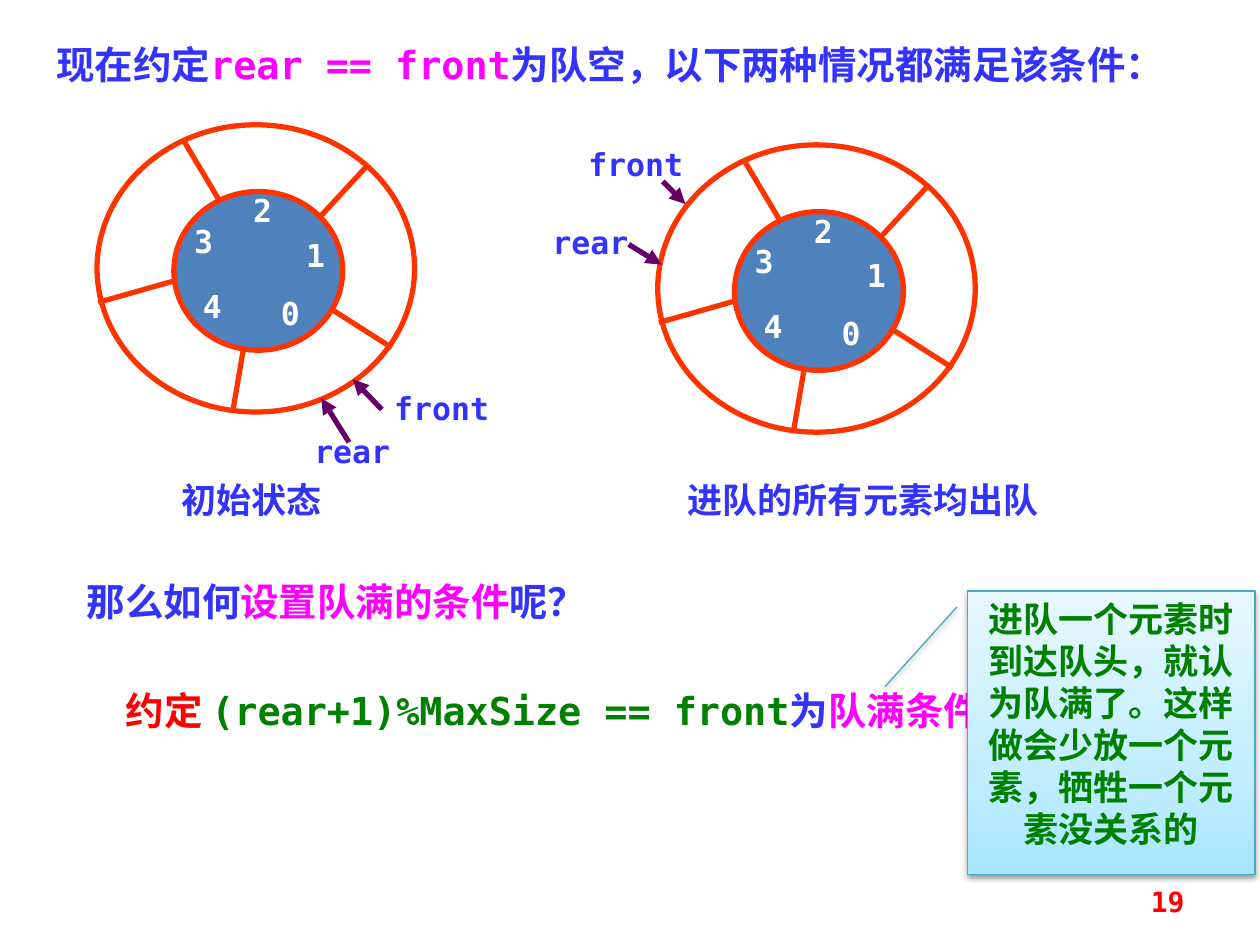
from lxml.etree import SubElement
from pptx import Presentation
from pptx.dml.color import RGBColor
from pptx.enum.shapes import MSO_CONNECTOR, MSO_SHAPE
from pptx.enum.text import MSO_ANCHOR, PP_ALIGN
from pptx.oxml import parse_xml
from pptx.oxml.ns import nsdecls, qn
from pptx.util import Pt

PX = 9144  # 100 px to the inch
MONO = "DejaVu Sans Mono"
BLUE, MAGENTA, GREEN, RED = "3333FF", "FF00FF", "008000", "FF0000"
ORANGE, PURPLE, WHITE, DISC = "FF3300", "660066", "FFFFFF", "4F81BD"

# box, alignment, size, runs of (text, colour)
TEXTS = [
    ((35, 28, 874, 47), PP_ALIGN.LEFT, 22,
     [("现在约定", BLUE), ("rear == front", MAGENTA),
      ("为队空，以下两种情况都满足该条件：", BLUE)]),
    ((90, 375, 220, 44), PP_ALIGN.CENTER, 20, [("初始状态", BLUE)]),
    ((484, 375, 402, 44), PP_ALIGN.CENTER, 20, [("进队的所有元素均出队", BLUE)]),
    ((59, 454, 472, 47), PP_ALIGN.LEFT, 22,
     [("那么如何", BLUE), ("设置队满的条件", MAGENTA), ("呢？", BLUE)]),
    ((90, 540, 700, 47), PP_ALIGN.LEFT, 22,
     [("约定 ", RED), ("(rear+1)%MaxSize == front", GREEN), ("为", BLUE),
      ("队满条件", MAGENTA), ("。", BLUE)]),
    ((717, 697, 233, 40), PP_ALIGN.RIGHT, 16, [("19", RED)]),
]

# Ring parts, relative to the top left corner of the outer ellipse
OUTER = (0, 0, 252, 228)
INNER = (61, 53, 134, 126)
SPOKES = [(187, 147, 234, 177), (178, 72, 214, 33), (69, 13, 97, 60),
          (116, 179, 108, 226), (1, 141, 61, 124)]
SLOT_NUMBERS = {"0": (138, 134), "1": (158, 88), "2": (116, 53),
                "3": (69, 77), "4": (76, 129)}

# Each queue: ring corner, pointer labels, pointer arrows
QUEUES = [
    ((77, 99), {"front": (311, 309), "rear": (240, 343)},
     [(303, 325, 280, 301), (277, 351, 255, 316)]),
    ((522, 115), {"front": (465, 115), "rear": (429, 177)},
     [(526, 144, 544, 162), (499, 194, 525, 210)]),
]

CALLOUT_BOX = (768, 469, 228, 225)
CALLOUT_TEXT = "进队一个元素时到达队头，就认为队满了。这样做会少放一个元素，牺牲一个元素没关系的"
CALLOUT_ADJUSTMENTS = (0.056, -0.037, 0.338, -0.288)
CALLOUT_STOPS = [(0, "A7E6FF"), (35, "C1EDFF"), (100, "E7F8FF")]


def colour(value):
    return RGBColor.from_string(value)


def emu(lengths):
    return [length * PX for length in lengths]


def moved(corner, box):
    return (box[0] + corner[0], box[1] + corner[1], *box[2:])


def write(frame, runs, size, alignment, font=MONO):
    frame.word_wrap = True
    paragraph = frame.paragraphs[0]
    paragraph.alignment = alignment
    for text, text_colour in runs:
        run = paragraph.add_run()
        run.text = text
        formats = {"name": font, "size": Pt(size), "bold": True}
        for name, value in formats.items():
            setattr(run.font, name, value)
        run.font.color.rgb = colour(text_colour)


def add_text(slide, box, runs, size, alignment):
    frame = slide.shapes.add_textbox(*emu(box)).text_frame
    write(frame, runs, size, alignment)
    return frame


def add_label(slide, text, box, text_colour):
    """Centred small text without margins."""
    frame = add_text(slide, box, [(text, text_colour)], 18, PP_ALIGN.CENTER)
    for side in ("left", "top", "right", "bottom"):
        setattr(frame, f"margin_{side}", 0)


def add_line(slide, ends, line_colour, arrow=False):
    line = slide.shapes.add_connector(MSO_CONNECTOR.STRAIGHT, *emu(ends))
    line.line.color.rgb = colour(line_colour)
    line.line.width = Pt(3)
    properties = line._element.spPr
    if arrow:
        SubElement(properties.find(qn("a:ln")), qn("a:tailEnd"), type="triangle")
    SubElement(properties, qn("a:effectLst"))


def add_ellipse(slide, box, fill=None):
    ellipse = slide.shapes.add_shape(MSO_SHAPE.OVAL, *emu(box))
    ellipse.shadow.inherit = False
    if fill:
        ellipse.fill.solid()
        ellipse.fill.fore_color.rgb = colour(fill)
    else:
        ellipse.fill.background()
    ellipse.line.color.rgb = colour(ORANGE)
    ellipse.line.width = Pt(3)


def add_queue(slide, corner, pointers, arrows):
    add_ellipse(slide, moved(corner, INNER), DISC)
    add_ellipse(slide, moved(corner, OUTER))
    for x1, y1, x2, y2 in SPOKES:
        add_line(slide, moved(corner, (x1, y1)) + moved(corner, (x2, y2)), ORANGE)
    for number, place in SLOT_NUMBERS.items():
        add_label(slide, number, moved(corner, (*place, 31, 30)), WHITE)
    for name, place in pointers.items():
        add_label(slide, name, (*place, 79, 30), BLUE)
    for ends in arrows:
        add_line(slide, ends, PURPLE, arrow=True)


def add_callout(slide):
    callout = slide.shapes.add_shape(MSO_SHAPE.LINE_CALLOUT_1, *emu(CALLOUT_BOX))
    for index, value in enumerate(CALLOUT_ADJUSTMENTS):
        callout.adjustments[index] = value
    callout.line.color.rgb = colour("46AAC5")
    callout.line.width = Pt(0.75)
    callout.shadow.inherit = False
    properties = callout._element.spPr
    stops = "".join(f'<a:gs pos="{position * 1000}"><a:srgbClr val="{value}"/></a:gs>'
                    for position, value in CALLOUT_STOPS)
    properties.find(qn("a:prstGeom")).addnext(parse_xml(
        f'<a:gradFill {nsdecls("a")} rotWithShape="1"><a:gsLst>{stops}</a:gsLst>'
        '<a:lin ang="16200000" scaled="1"/></a:gradFill>'))
    properties.find(qn("a:effectLst")).append(parse_xml(
        f'<a:outerShdw {nsdecls("a")} blurRad="{Pt(3.1)}" dist="{Pt(1.6)}" '
        'dir="5400000" rotWithShape="0"><a:srgbClr val="000000">'
        '<a:alpha val="38000"/></a:srgbClr></a:outerShdw>'))
    frame = callout.text_frame
    frame.vertical_anchor = MSO_ANCHOR.TOP
    write(frame, [(CALLOUT_TEXT, GREEN)], 20, PP_ALIGN.CENTER, "Times New Roman")


def main():
    presentation = Presentation()
    presentation.slide_width, presentation.slide_height = emu((1000, 750))
    slide = presentation.slides.add_slide(presentation.slide_layouts[6])
    for queue in QUEUES:
        add_queue(slide, *queue)
    for box, alignment, size, runs in TEXTS:
        add_text(slide, box, runs, size, alignment)
    add_callout(slide)
    presentation.save("out.pptx")


if __name__ == "__main__":
    main()
